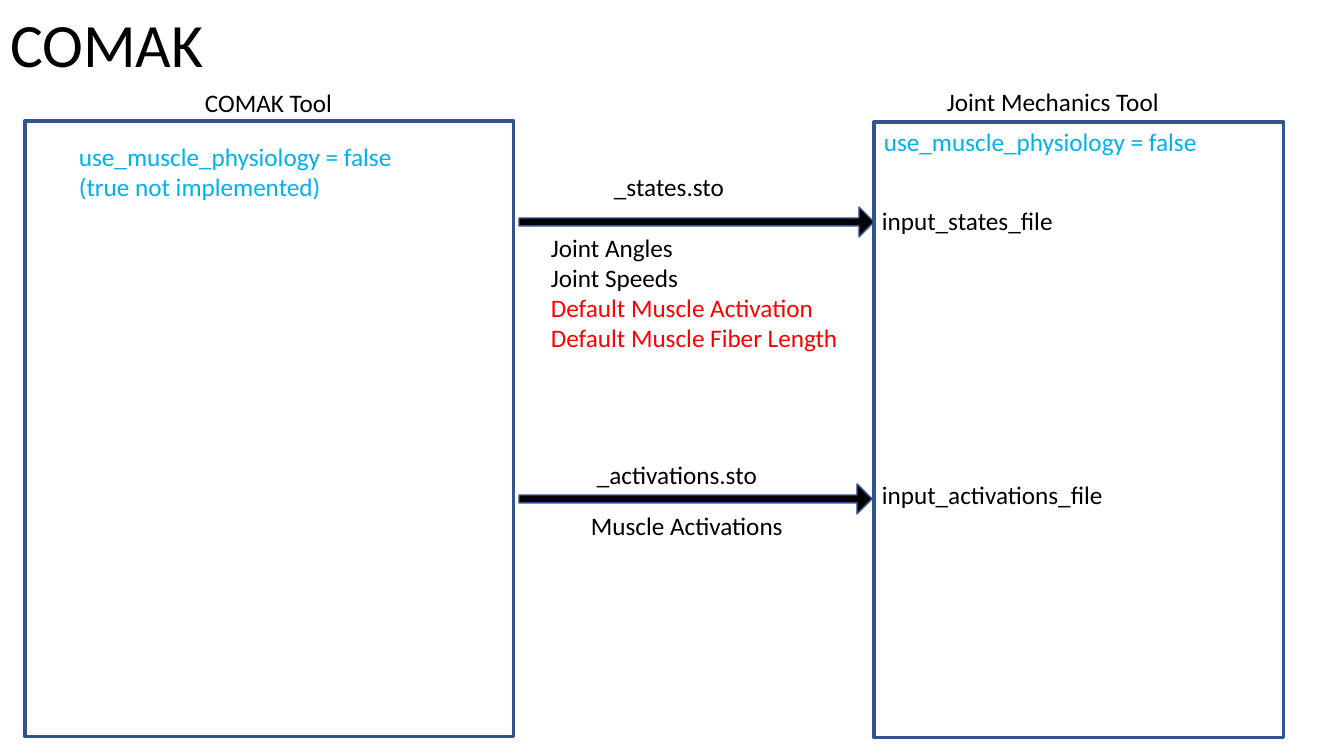
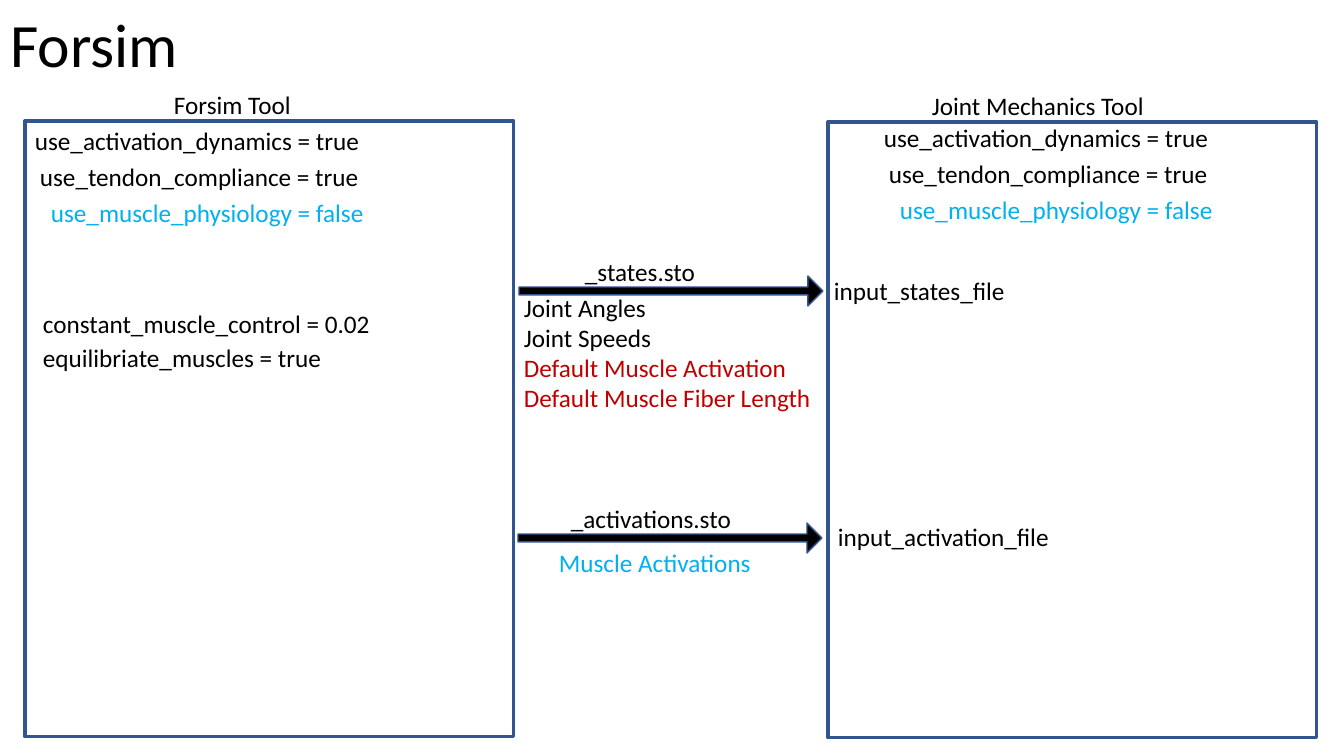
from pptx import Presentation
from pptx.dml.color import RGBColor
from pptx.enum.shapes import MSO_SHAPE
from pptx.enum.text import MSO_ANCHOR, MSO_AUTO_SIZE, PP_ALIGN
from pptx.util import Emu, Pt

BLACK = RGBColor(0x00, 0x00, 0x00)
OUTLINE = RGBColor(0x32, 0x54, 0x91)
SKY = RGBColor(0x00, 0xB0, 0xF0)
RED = RGBColor(0xFF, 0x00, 0x00)
DARK_RED = RGBColor(0xC0, 0x00, 0x00)
FONT = "Calibri"
LABEL_SIZE, TITLE_SIZE = 18, 44
EMU_PER_PIXEL = 914400 / 100.8

PHYSIOLOGY = "use_muscle_physiology = false"
TENDON = "use_tendon_compliance = true"
DYNAMICS = "use_activation_dynamics = true"
MECHANICS = "Joint Mechanics Tool"
STATES, ACTIVATIONS = "_states.sto", "_activations.sto"
STATES_INPUT = "input_states_file"
MUSCLES = "Muscle Activations"
JOINTS = "Joint Angles\vJoint Speeds"  # one paragraph with a line break
DEFAULTS = ["Default Muscle Activation", "Default Muscle Fiber Length"]

# Label width in pixels, by first paragraph
WIDTHS = {
    "COMAK Tool": 149, "Forsim Tool": 138, MECHANICS: 235,
    STATES: 131, ACTIVATIONS: 182, MUSCLES: 215, JOINTS: 310,
    PHYSIOLOGY: 337, TENDON: 343, DYNAMICS: 349,
    STATES_INPUT: 194, "input_activations_file": 244,
    "input_activation_file": 234,
    "constant_muscle_control = 0.02": 364,
    "equilibriate_muscles = true": 301,
}

# Forsim settings, listed for the left tool and repeated in the right one
SETTINGS = [
    (25, 120, [(DYNAMICS, BLACK)]),
    (30, 156, [(TENDON, BLACK)]),
    (41, 192, [(PHYSIOLOGY, SKY)]),
]
SETTINGS_SHIFT = (849, -3)


def joint_lines(warning_color):
    """Return the contents of the states file, defaults in a warning colour."""
    return [(JOINTS, BLACK)] + [(line, warning_color) for line in DEFAULTS]


def shifted(labels, offset):
    """Return labels moved by an (x, y) offset."""
    return [(left + offset[0], top + offset[1], lines)
            for left, top, lines in labels]


# Tools and arrows: left, top, width, height. Labels: left, top, lines.
SLIDES = [
    {
        "title": "COMAK",
        "tools": [(25, 121, 489, 616), (874, 122, 410, 616)],
        "arrows": [(519, 207, 355, 30), (519, 484, 353, 30)],
        "labels": [
            (195, 82, [("COMAK Tool", BLACK)]),
            (937, 81, [(MECHANICS, BLACK)]),
            (69, 136, [(PHYSIOLOGY, SKY), ("(true not implemented)", SKY)]),
            (874, 121, [(PHYSIOLOGY, SKY)]),
            (604, 166, [(STATES, BLACK)]),
            (541, 227, joint_lines(RED)),
            (872, 200, [(STATES_INPUT, BLACK)]),
            (587, 454, [(ACTIVATIONS, BLACK)]),
            (581, 505, [(MUSCLES, BLACK)]),
            (872, 474, [("input_activations_file", BLACK)]),
        ],
    },
    {
        "title": "Forsim",
        "tools": [(25, 121, 489, 616), (828, 122, 489, 616)],
        "arrows": [(519, 276, 304, 30), (518, 523, 304, 30)],
        "labels": SETTINGS + shifted(SETTINGS, SETTINGS_SHIFT) + [
            (164, 84, [("Forsim Tool", BLACK)]),
            (922, 85, [(MECHANICS, BLACK)]),
            (33, 303, [("constant_muscle_control = 0.02", BLACK)]),
            (33, 337, [("equilibriate_muscles = true", BLACK)]),
            (575, 251, [(STATES, BLACK)]),
            (514, 287, joint_lines(DARK_RED)),
            (824, 270, [(STATES_INPUT, BLACK)]),
            (561, 498, [(ACTIVATIONS, BLACK)]),
            (549, 542, [(MUSCLES, SKY)]),
            (828, 516, [("input_activation_file", BLACK)]),
        ],
    },
]


def px(*lengths):
    """Turn pixel lengths into a list of EMU lengths."""
    return [Emu(round(length * EMU_PER_PIXEL)) for length in lengths]


def style(para, size, color):
    """Format every run of a paragraph."""
    for span in para.runs:
        span.font.name = FONT
        span.font.size = Pt(size)
        span.font.color.rgb = color


def set_title(page, text):
    """Fill and place the title placeholder."""
    title = page.shapes.title
    title.left, title.top, title.width, title.height = px(0, -25, 1159, 146)
    frame = title.text_frame
    frame.text = text
    frame.vertical_anchor = MSO_ANCHOR.MIDDLE
    para = frame.paragraphs[0]
    para.alignment = PP_ALIGN.LEFT
    para.line_spacing = 0.9
    style(para, TITLE_SIZE, BLACK)


def add_outlined(page, kind, place, line_width):
    """Add an unfilled preset shape with the shared outline."""
    shape = page.shapes.add_shape(kind, *px(*place))
    shape.shadow.inherit = False
    shape.fill.background()
    shape.line.color.rgb = OUTLINE
    shape.line.width = Pt(line_width)
    return shape


def add_arrow(page, place):
    """Add a thin black block arrow."""
    arrow = add_outlined(page, MSO_SHAPE.RIGHT_ARROW, place, 1)
    arrow.fill.solid()
    arrow.fill.fore_color.rgb = BLACK
    arrow.adjustments[0] = 0.26
    arrow.adjustments[1] = 0.5


def add_label(page, left, top, lines):
    """Add an unwrapped text box with one paragraph per line."""
    texts = [text for text, color in lines]
    row_count = len("\v".join(texts).split("\v"))
    height = 10 + 30 * row_count
    box = page.shapes.add_textbox(*px(left, top, WIDTHS[texts[0]], height))
    frame = box.text_frame
    frame.text = "\n".join(texts)
    frame.word_wrap = False
    frame.auto_size = MSO_AUTO_SIZE.SHAPE_TO_FIT_TEXT
    for para, (text, color) in zip(frame.paragraphs, lines):
        style(para, LABEL_SIZE, color)


def build():
    """Build and save the deck."""
    deck = Presentation()
    deck.slide_width, deck.slide_height = px(1344, 756)
    for content in SLIDES:
        page = deck.slides.add_slide(deck.slide_layouts.get_by_name("Title Only"))
        set_title(page, content["title"])
        for place in content["tools"]:
            add_outlined(page, MSO_SHAPE.RECTANGLE, place, 2.25)
        for place in content["arrows"]:
            add_arrow(page, place)
        for label in content["labels"]:
            add_label(page, *label)
    deck.save("out.pptx")


build()
